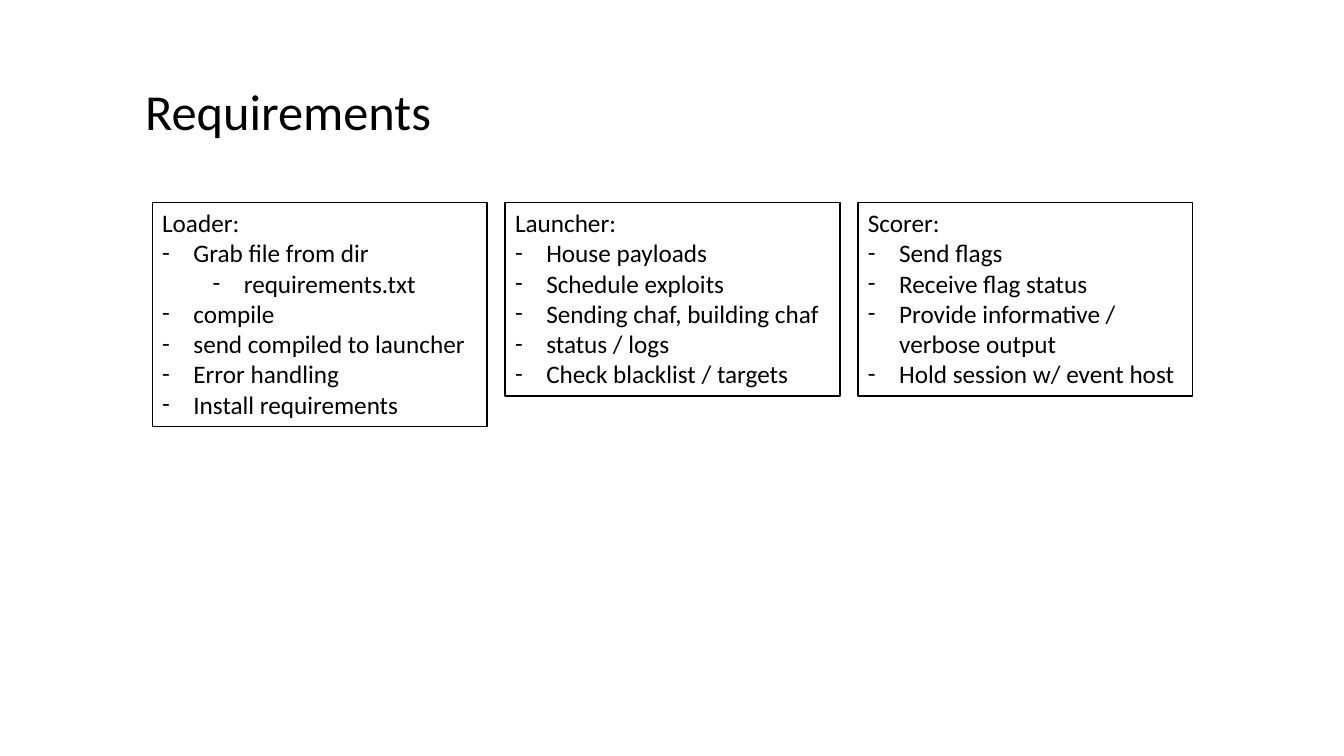
"""Build the Requirements slide with one bordered list box per component."""
from pptx import Presentation
from pptx.dml.color import RGBColor
from pptx.enum.shapes import MSO_SHAPE
from pptx.enum.text import MSO_ANCHOR, MSO_AUTO_SIZE, PP_ALIGN
from pptx.util import Inches, Pt
from lxml.etree import SubElement
from pptx.oxml.ns import qn

BLACK = RGBColor(0x00, 0x00, 0x00)
WHITE = RGBColor(0xFF, 0xFF, 0xFF)
FONT = "Calibri"
LEFT, TOP, WIDTH, PITCH = 1.51, 2.01, 3.32, 3.5
LINE, PADDING = 0.3, 0.12
HANG, LEVEL = 0.31, 0.5

COMPONENTS = [
    ("Loader:", [
        (0, "Grab file from dir"),
        (1, "requirements.txt"),
        (0, "compile"),
        (0, "send compiled to launcher"),
        (0, "Error handling"),
        (0, "Install requirements"),
    ], 7),
    ("Launcher:", [
        (0, "House payloads"),
        (0, "Schedule exploits"),
        (0, "Sending chaf, building chaf"),
        (0, "status / logs"),
        (0, "Check blacklist / targets"),
    ], 6),
    ("Scorer:", [
        (0, "Send flags"),
        (0, "Receive flag status"),
        (0, "Provide informative / verbose output"),
        (0, "Hold session w/ event host"),
    ], 6),
]


def style(p, size):
    p.alignment = PP_ALIGN.LEFT
    for r in p.runs:
        r.font.name = FONT
        r.font.size = Pt(size)
        r.font.color.rgb = BLACK


def add_dash(p, level):
    p.level = level
    pPr = p._p.get_or_add_pPr()
    pPr.set("marL", str(Inches(HANG + level * LEVEL)))
    pPr.set("indent", str(-Inches(HANG)))
    SubElement(pPr, qn("a:buFont"), typeface=FONT)
    SubElement(pPr, qn("a:buChar"), char="-")


prs = Presentation()
prs.slide_width, prs.slide_height = Inches(13.33), Inches(7.5)
s = prs.slides.add_slide(prs.slide_layouts[5])

title = s.shapes.title
title.left, title.top = Inches(1.34), Inches(0.74)
title.width, title.height = Inches(4.36), Inches(0.71)
tf = title.text_frame
tf.text = "Requirements"
tf.vertical_anchor = MSO_ANCHOR.TOP
tf.auto_size = MSO_AUTO_SIZE.SHAPE_TO_FIT_TEXT
style(tf.paragraphs[0], 36)

for col, (heading, items, lines) in enumerate(COMPONENTS):
    sp = s.shapes.add_shape(
        MSO_SHAPE.RECTANGLE, Inches(LEFT + col * PITCH), Inches(TOP),
        Inches(WIDTH), Inches(lines * LINE + PADDING))
    sp.shadow.inherit = False
    sp.fill.solid()
    sp.fill.fore_color.rgb = WHITE
    sp.line.color.rgb = BLACK
    sp.line.width = Pt(1)
    tf = sp.text_frame
    tf.word_wrap = True
    tf.auto_size = MSO_AUTO_SIZE.SHAPE_TO_FIT_TEXT
    tf.vertical_anchor = MSO_ANCHOR.TOP
    tf.text = heading
    style(tf.paragraphs[0], 18)
    for level, text in items:
        p = tf.add_paragraph()
        p.text = text
        style(p, 18)
        add_dash(p, level)

prs.save("out.pptx")
